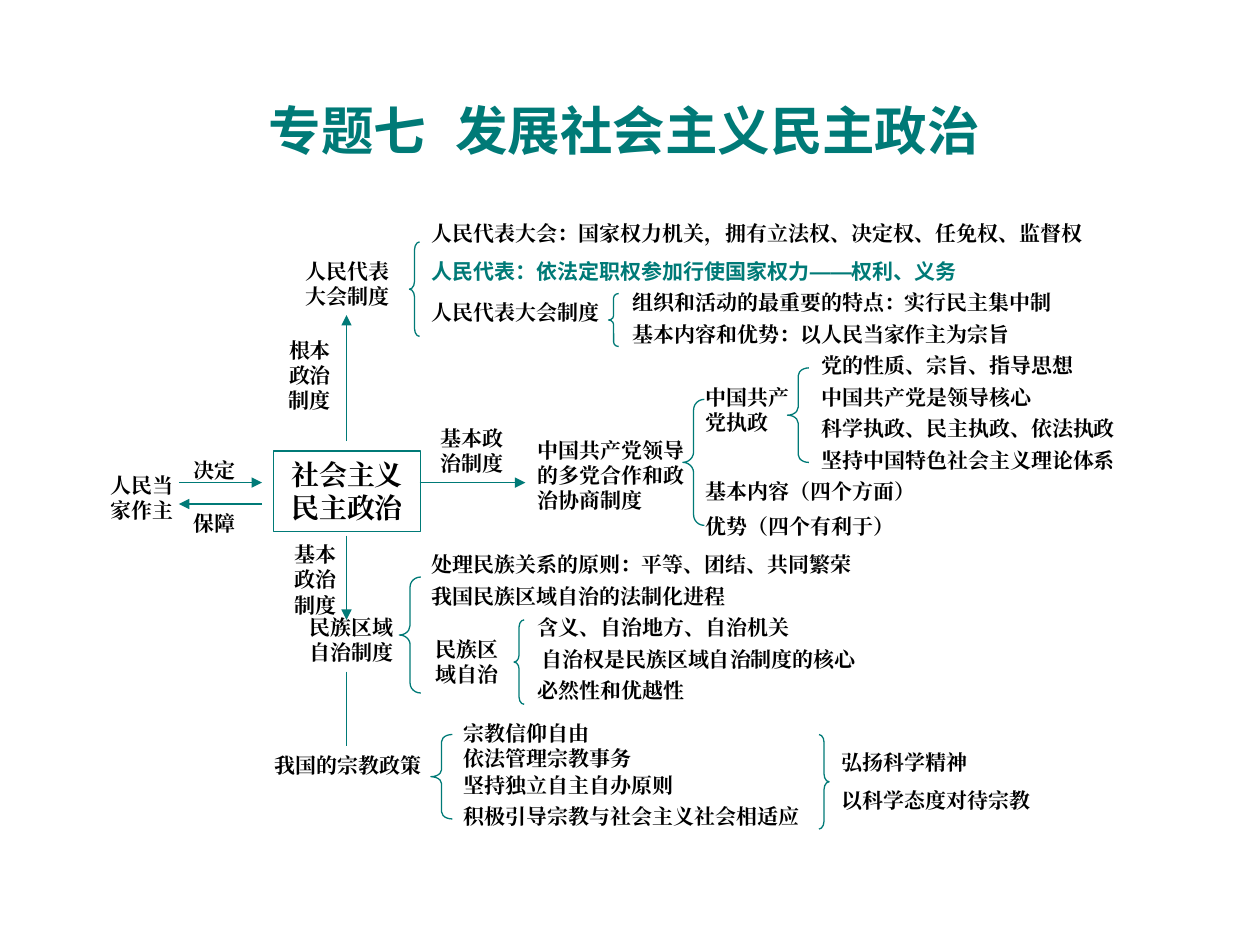
from collections import namedtuple

from lxml import etree
from pptx import Presentation
from pptx import util as u
from pptx.dml.color import RGBColor
from pptx.enum import shapes, text
from pptx.oxml.ns import qn

COLORS = {"teal": "007A77", "black": "000000"}
BODY = {"name": "Times New Roman", "size": 12, "color": "black"}
ACCENT = {"name": "Arial", "size": 12, "color": "teal"}
TITLE = {"name": "Arial", "size": 30, "color": "teal"}
CORE = {"name": "Times New Roman", "size": 16, "color": "black"}
INSET = {"margin_left": 0.1, "margin_right": 0.1,
         "margin_top": 0.05, "margin_bottom": 0.05}
LEFT, CENTER = text.PP_ALIGN.LEFT, text.PP_ALIGN.CENTER

Box = namedtuple("Box", "x y w h")


def rgb(name):
    return RGBColor.from_string(COLORS[name])


def place(box, x, y, w, h):
    return [u.Inches(v) for v in (box.x + x, box.y + y, w, h)]


def fill_text(tf, words, fmt, align):
    """Write one paragraph for each line of words."""
    tf.word_wrap = True
    tf.vertical_anchor = text.MSO_ANCHOR.TOP
    for name, value in INSET.items():
        setattr(tf, name, u.Inches(value))
    for i, line in enumerate(words.split("\n")):
        p = tf.add_paragraph() if i else tf.paragraphs[0]
        p.alignment = align
        p.line_spacing = u.Pt(fmt["size"] * 1.2)
        if i:
            p.space_before = u.Pt(7.5)
        r = p.add_run()
        r.text = line
        font = {"name": fmt["name"], "size": u.Pt(fmt["size"]), "bold": True}
        for name, value in font.items():
            setattr(r.font, name, value)
        r.font.color.rgb = rgb(fmt["color"])
        ea = etree.SubElement(r.font._element, qn("a:ea"))
        ea.set("typeface", fmt["name"])


def label(s, box, x, y, w, words, rows=1, align=LEFT, fmt=BODY):
    height = rows * fmt["size"] / 60 + 0.1
    sp = s.shapes.add_textbox(*place(box, x, y, w, height))
    fill_text(sp.text_frame, words, fmt, align)


def outline(sp):
    sp.shadow.inherit = False
    sp.fill.background()
    sp.line.color.rgb = rgb("teal")
    sp.line.width = u.Pt(0.75)


def brace(s, box, x, y, w, h, kind=shapes.MSO_SHAPE.LEFT_BRACE):
    sp = s.shapes.add_shape(kind, *place(box, x, y, w, h))
    sp.adjustments[0] = h / w / 12
    outline(sp)


def line(s, box, x1, y1, x2, y2, arrow=True):
    ends = place(box, x1, y1, box.x + x2, box.y + y2)
    c = s.shapes.add_connector(shapes.MSO_CONNECTOR.STRAIGHT, *ends)
    c.line.color.rgb = rgb("teal")
    c.line.width = u.Pt(0.75)
    if arrow:
        etree.SubElement(c.line._get_or_add_ln(), qn("a:tailEnd"), type="triangle")
    etree.SubElement(c._element.spPr, qn("a:effectLst"))


def title(s, box):
    label(s, box, 0, 0, box.w, "专题七  发展社会主义民主政治", align=CENTER, fmt=TITLE)


def core(s, box):
    # Central concept
    sp = s.shapes.add_shape(shapes.MSO_SHAPE.RECTANGLE,
                            *place(box, 1.42, 0, 1.17, box.h))
    outline(sp)
    fill_text(sp.text_frame, "社会主义民主政治", CORE, CENTER)
    # Mutual relation with the people
    label(s, box, 0, 0.12, 0.75, "人民当家作主", 2, CENTER)
    label(s, box, 0.58, 0, 0.75, "决定", align=CENTER)
    label(s, box, 0.58, 0.42, 0.75, "保障", align=CENTER)
    line(s, box, 0.67, 0.25, 1.33, 0.25)
    line(s, box, 1.33, 0.42, 0.67, 0.42)


def congress(s, box):
    line(s, box, 0.58, 1.8, 0.58, 0.8)
    label(s, box, 0, 0.93, 0.58, "根本政治制度", 3, CENTER)
    label(s, box, 0.16, 0.3, 1, "人民代表大会制度", 2)
    brace(s, box, 1.08, 0.22, 0.08, 0.75)
    label(s, box, 1.16, 0, 5.58, "人民代表大会：国家权力机关，拥有立法权、决定权、任免权、监督权")
    label(s, box, 1.16, 0.3, 4.42, "人民代表：依法定职权参加行使国家权力——权利、义务", fmt=ACCENT)
    label(s, box, 1.16, 0.63, 1.58, "人民代表大会制度")
    # Features of the system
    brace(s, box, 2.66, 0.63, 0.08, 0.42)
    features = ["组织和活动的最重要的特点：实行民主集中制",
                "基本内容和优势：以人民当家作主为宗旨"]
    for i, words in enumerate(features):
        label(s, box, 2.75, 0.55 + i * 0.25, 3.67, words)


def party(s, box):
    line(s, box, 0, 1.08, 0.84, 1.08)
    label(s, box, 0, 0.58, 0.83, "基本政治制度", 2, CENTER)
    label(s, box, 0.84, 0.67, 1.5, "中国共产党领导的多党合作和政治协商制度", 3)
    brace(s, box, 2.09, 0.42, 0.17, 1)
    label(s, box, 2.17, 0.25, 0.92, "中国共产党执政", 2)
    label(s, box, 2.17, 1, 2, "基本内容（四个方面）")
    label(s, box, 2.17, 1.28, 1.92, "优势（四个有利于）")
    # Governing principles
    brace(s, box, 2.92, 0.17, 0.17, 0.75)
    principles = ["党的性质、宗旨、指导思想", "中国共产党是领导核心",
                  "科学执政、民主执政、依法执政", "坚持中国特色社会主义理论体系"]
    for i, words in enumerate(principles):
        label(s, box, 3.09, i * 0.25, 2.67, words)


def autonomy(s, box):
    line(s, box, 0.58, 0, 0.58, 0.67)
    label(s, box, 0, 0, 0.67, "基本政治制度", 3, CENTER)
    label(s, box, 0.16, 0.58, 0.92, "民族区域自治制度", 2, CENTER)
    brace(s, box, 1, 0.33, 0.17, 0.92)
    label(s, box, 1.16, 0.08, 3.58, "处理民族关系的原则：平等、团结、共同繁荣")
    label(s, box, 1.16, 0.33, 2.67, "我国民族区域自治的法制化进程")
    label(s, box, 1.16, 0.75, 0.75, "民族区域自治", 2, CENTER)
    # Aspects of regional autonomy
    brace(s, box, 1.91, 0.67, 0.08, 0.67)
    aspects = [("含义、自治地方、自治机关", LEFT),
               ("自治权是民族区域自治制度的核心", CENTER),
               ("必然性和优越性", LEFT)]
    for i, (words, align) in enumerate(aspects):
        label(s, box, 2, 0.58 + i * 0.25, 2.75, words, align=align)


def religion(s, box):
    line(s, box, 0.67, 0, 0.67, 0.59, arrow=False)
    label(s, box, 0, 0.59, 1.5, "我国的宗教政策")
    brace(s, box, 1.34, 0.5, 0.17, 0.67)
    policies = [(0.34, "宗教信仰自由"), (0.54, "依法管理宗教事务"),
                (0.75, "坚持独立自主自办原则"),
                (1, "积极引导宗教与社会主义社会相适应")]
    for y, words in policies:
        label(s, box, 1.5, y, 3.25, words)
    # Conclusion
    brace(s, box, 4.42, 0.5, 0.08, 0.75, shapes.MSO_SHAPE.RIGHT_BRACE)
    label(s, box, 4.5, 0.57, 1.92, "弘扬科学精神\n以科学态度对待宗教", 2)


def main():
    prs = Presentation()
    prs.slide_width, prs.slide_height = u.Inches(10), u.Inches(7.5)
    s = prs.slides.add_slide(prs.slide_layouts[6])
    title(s, Box(1.83, 0.73, 6.25, 0.6))
    core(s, Box(0.75, 3.58, 2.59, 0.64))
    congress(s, Box(2.17, 1.7, 6.74, 1.8))
    party(s, Box(3.33, 2.75, 5.76, 1.58))
    autonomy(s, Box(2.17, 4.25, 4.75, 1.38))
    religion(s, Box(2.08, 5.33, 6.42, 1.3))
    prs.save("out.pptx")


if __name__ == "__main__":
    main()
